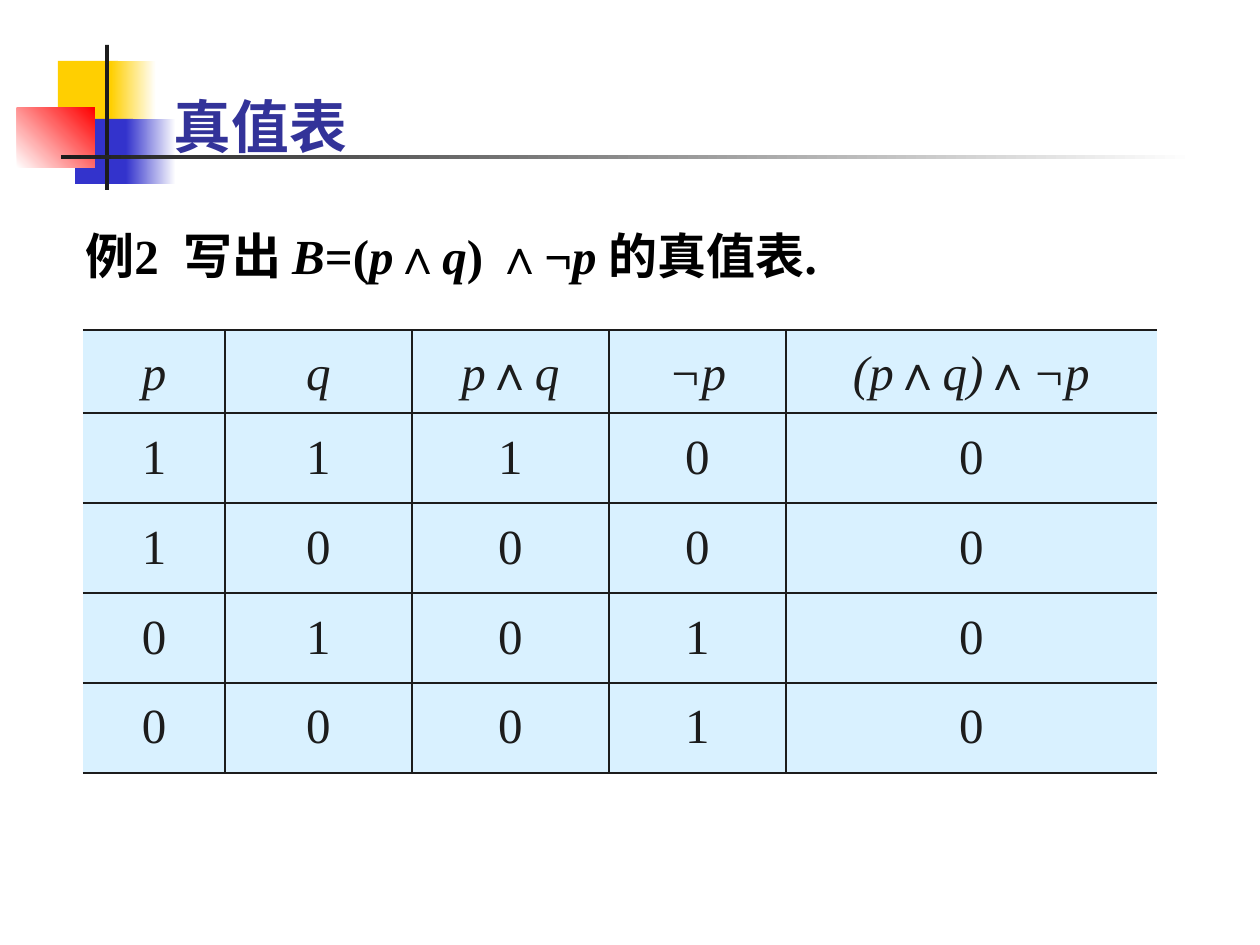
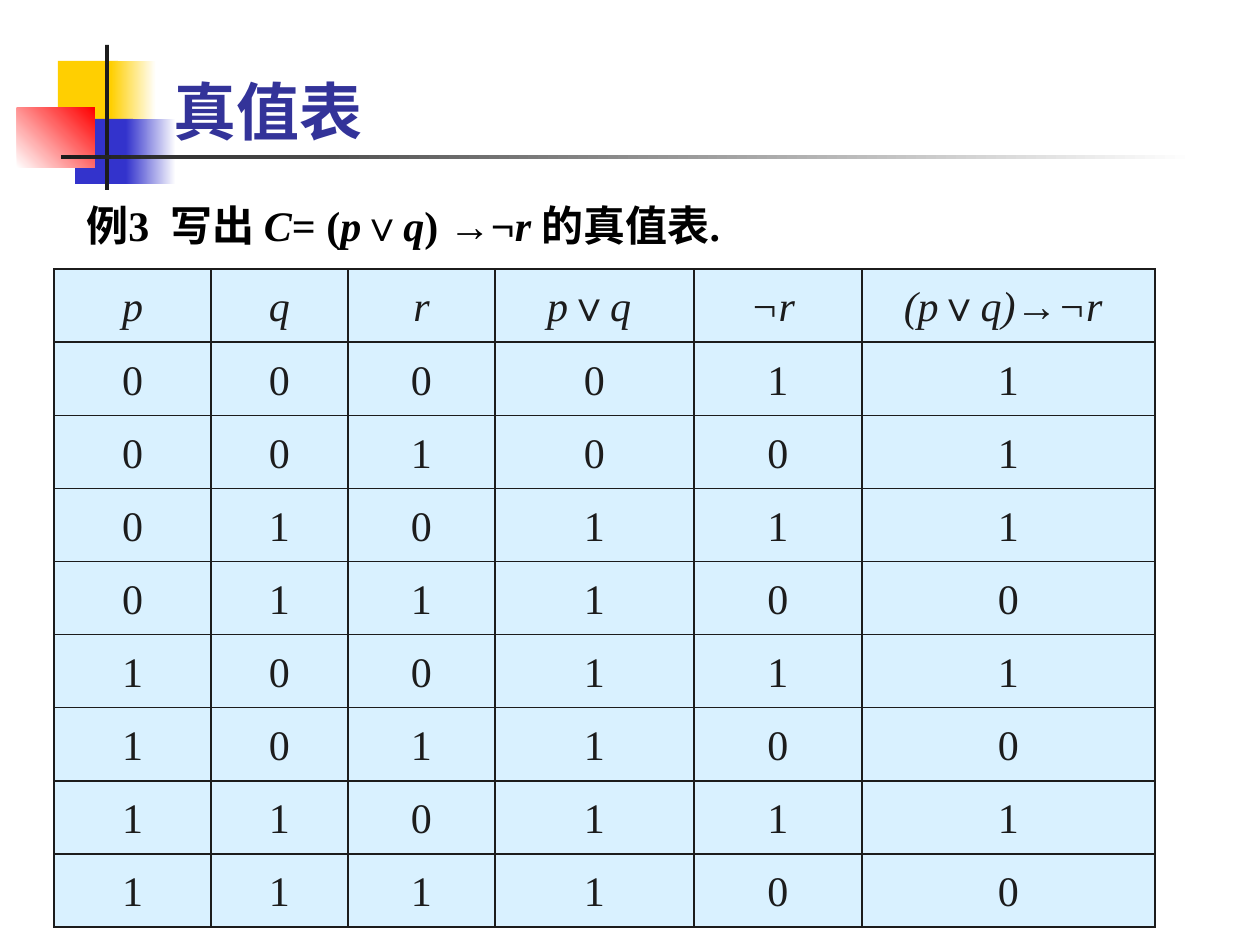
from itertools import pairwise

from lxml.etree import SubElement
from pptx import Presentation
from pptx.dml.color import RGBColor
from pptx.enum.shapes import MSO_SHAPE
from pptx.enum.text import MSO_ANCHOR, MSO_AUTO_SIZE, PP_ALIGN
from pptx.oxml.ns import qn
from pptx.util import Pt

PX = 914400 / 126
HUES = {
    "gold": "FFCF01", "blue": "3333CC", "red": "FF0000", "ink": "1C1C1C",
    "white": "FFFFFF", "title": "333399", "black": "000000", "cell": "D9F1FF",
}
SERIF, SANS, LATO = "Times New Roman", "Noto Sans CJK SC", "Lato"


def emu(*sizes):
    return [round(size * PX) for size in sizes]


def hue(name):
    return RGBColor.from_string(HUES[name])


def write(frame, text, size, font=SERIF, east=SANS, color="black", bold=False,
          align=PP_ALIGN.LEFT, lead=1.0, shade=False):
    """Fill a text frame; parts between asterisks become italic."""
    para = frame.paragraphs[0]
    para.alignment, para.line_spacing = align, lead
    for spot, part in enumerate(text.split("*")):
        if not part:
            continue
        run = para.add_run()
        run.text = part
        face = run.font
        face.size, face.name, face.bold = Pt(size), font, bold
        face.italic = spot % 2 == 1
        face.color.rgb = hue(color)
        props = run._r.get_or_add_rPr()
        if shade:
            glow = SubElement(SubElement(props, qn("a:effectLst")), qn("a:outerShdw"),
                              dist="17961", dir="2700000")
            SubElement(glow, qn("a:srgbClr"), val=HUES["black"])
            props.insert(1, glow.getparent())
        props.find(qn("a:latin")).addnext(
            props.makeelement(qn("a:ea"), {"typeface": east}))


def block(slide, box, start, end=None, angle=0):
    """Add a borderless rectangle, plain or fading from start to end."""
    shape = slide.shapes.add_shape(MSO_SHAPE.RECTANGLE, *emu(*box))
    shape.shadow.inherit = False
    shape.line.fill.background()
    if end is None:
        shape.fill.solid()
        shape.fill.fore_color.rgb = hue(start)
    else:
        shape.fill.gradient()
        shape.fill.gradient_angle = angle
        for stop, name, place in zip(shape.fill.gradient_stops, (start, end), (0, 1)):
            stop.color.rgb = hue(name)
            stop.position = place
    return shape


def motif(slide, left, top):
    """Draw the corner blocks and rules, then hand them to the slide's layout."""
    parts = [
        ((41, 16, 60, 65), "gold"),
        ((94, 16, 45, 65), "gold", "white"),
        ((58, 74, 58, 65), "blue"),
        ((109, 74, 50, 65), "blue", "white"),
        ((0, 63, 78, 60), "white", "red", 45),
        ((88, 0, 4, 145), "ink"),
        ((44, 110, 1134, 4), "ink", "white"),
    ]
    tree = slide.slide_layout.shapes.element
    for spot, ((x, y, wide, high), *fill) in enumerate(parts):
        shape = block(slide, (left + x, top + y, wide, high), *fill)
        tree.insert(2 + spot, shape.element)


def head(slide, top, size, font):
    title = slide.shapes.title
    title.left, title.top, title.width, title.height = emu(161, top, 1134, 158)
    frame = title.text_frame
    frame.auto_size = MSO_AUTO_SIZE.NONE
    frame.vertical_anchor = MSO_ANCHOR.BOTTOM
    write(frame, "真值表", size, font=font, color="title", bold=True, shade=True)


def task(slide, box, text, size, lead=1.0):
    frame = slide.shapes.add_textbox(*emu(*box)).text_frame
    frame.word_wrap = True
    write(frame, text, size, bold=True, lead=lead)


def edge(cell, sides):
    """Draw thin lines on the given sides and none on the others."""
    props = cell._tc.get_or_add_tcPr()
    for spot, side in enumerate("LRTB"):
        line = props.makeelement(qn(f"a:ln{side}"), {"w": str(Pt(1))})
        if side in sides:
            fill = SubElement(line, qn("a:solidFill"))
            SubElement(fill, qn("a:srgbClr"), val=HUES["ink"])
        else:
            SubElement(line, qn("a:noFill"))
        props.insert(spot, line)


def grid(slide, top, stops, highs, heads, rows, size, closed=True):
    """Add a truth table; stops are the x places of its column lines."""
    cells = [[f"*{name}*" for name in heads], *rows]
    wides = [right - left for left, right in pairwise(stops)]
    table = slide.shapes.add_table(
        len(cells), len(wides), *emu(stops[0], top, sum(wides), sum(highs))).table
    table.first_row = table.horz_banding = False
    for column, wide in zip(table.columns, emu(*wides)):
        column.width = wide
    for row, high, texts in zip(table.rows, emu(*highs), cells):
        row.height = high
        for spot, (cell, text) in enumerate(zip(row.cells, texts)):
            cell.fill.solid()
            cell.fill.fore_color.rgb = hue("cell")
            left = "L" if closed or spot > 0 else ""
            right = "R" if closed or spot < len(wides) - 1 else ""
            edge(cell, "TB" + left + right)
            write(cell.text_frame, text, size, color="ink",
                  align=PP_ALIGN.CENTER, lead=1.2)


def pair(slide):
    head(slide, 8, 33, LATO)
    task(slide, (73, 219, 1114, 92), "例2  写出 *B*=(*p*∧*q*) ∧¬*p *的真值表.", 28)
    grid(slide, 330, (83, 225, 412, 609, 786, 1157), (83, 90, 90, 90, 90),
         ("p", "q", "p∧q", "¬p", "(p∧q)∧¬p"),
         ("11100", "10000", "01010", "00010"), 28, closed=False)


def triple(slide):
    head(slide, -4, 36, SANS)
    task(slide, (74, 188, 985, 87), "例3  写出 *C*= (*p*∨*q*) →¬*r *的真值表.", 24, lead=1.1)
    grid(slide, 269, (54, 211, 348, 495, 694, 862, 1155), [73] * 9,
         ("p", "q", "r", "p∨q ", "¬r ", "(p∨q)→¬r "),
         ("000011", "001001", "010111", "011100",
          "100111", "101100", "110111", "111100"), 24)


def main():
    deck = Presentation()
    deck.slide_width, deck.slide_height = emu(1260, 945)
    layout = deck.slide_layouts[5]
    first, second = (deck.slides.add_slide(layout) for _ in range(2))
    motif(first, 17, 45)
    pair(first)
    triple(second)
    deck.save("out.pptx")


if __name__ == "__main__":
    main()
